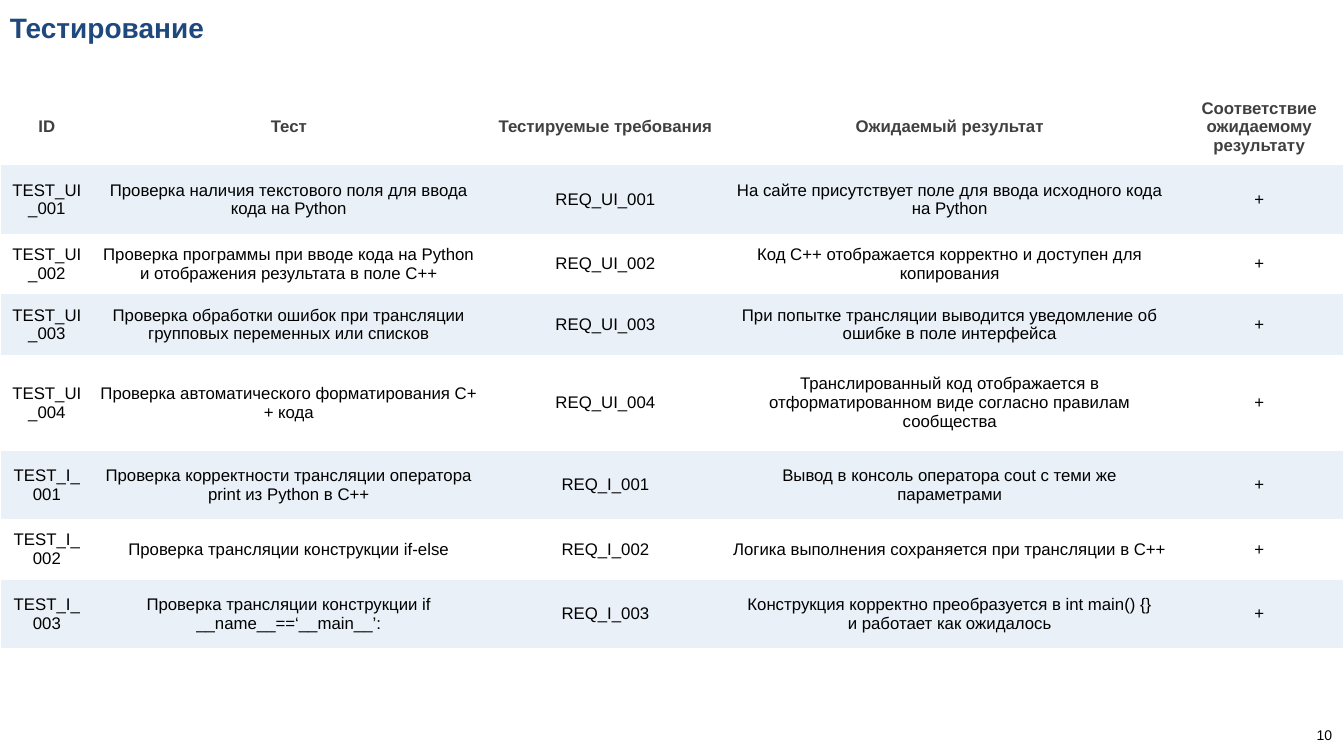
from pptx import Presentation
from pptx.dml.color import RGBColor
from pptx.enum import text as t
from pptx.util import Inches, Pt

TITLE = "Тестирование"
PAGE_NUMBER = "10"
HEADER = ("ID", "Тест", "Тестируемые требования", "Ожидаемый результат",
          "Соответствие ожидаемому результату")
# number, test, expected result, row height
TESTS = [
    ("UI_001", "Проверка наличия текстового поля для ввода кода на Python",
     "На сайте присутствует поле для ввода исходного кода на Python", 0.68),
    ("UI_002", "Проверка программы при вводе кода на Python и отображения результата в поле C++",
     "Код C++ отображается корректно и доступен для копирования", 0.6),
    ("UI_003", "Проверка обработки ошибок при трансляции групповых переменных или списков",
     "При попытке трансляции выводится уведомление об ошибке в поле интерфейса", 0.6),
    ("UI_004", "Проверка автоматического форматирования C++ кода",
     "Транслированный код отображается в отформатированном виде согласно правилам сообщества", 0.95),
    ("I_001", "Проверка корректности трансляции оператора print из Python в C++",
     "Вывод в консоль оператора cout с теми же параметрами", 0.68),
    ("I_002", "Проверка трансляции конструкции if-else",
     "Логика выполнения сохраняется при трансляции в С++", 0.6),
    ("I_003", "Проверка трансляции конструкции if __name__==‘__main__’:",
     "Конструкция корректно преобразуется в int main() {}\nи работает как ожидалось", 0.68),
]
PASSED = "+"

COLUMN_WIDTHS = (0.89, 3.93, 2.35, 4.48, 1.66)
HEADER_HEIGHT = 0.73
TABLE_LEFT, TABLE_TOP = 0.01, 0.88

FONT = "Arial"
NAVY = RGBColor(0x1F, 0x49, 0x7D)
GRAY = RGBColor(0x40, 0x40, 0x40)
BLACK = RGBColor(0, 0, 0)
WHITE = RGBColor(0xFF, 0xFF, 0xFF)
BAND = RGBColor(0xE9, 0xF0, 0xF7)
PLAIN_TABLE_STYLE = "{2D5ABB26-0587-4C30-8999-92F81FD0307C}"


def write(frame, words, size=12, color=BLACK, bold=False, align=t.PP_ALIGN.CENTER):
    frame.word_wrap = True
    paragraph = frame.paragraphs[0]
    paragraph.text = words
    paragraph.alignment = align
    for run in paragraph.runs:
        run.font.name = FONT
        run.font.size = Pt(size)
        run.font.bold = bold
        run.font.color.rgb = color


def set_margins(target, left, top, right, bottom):
    """Set the insets, in inches, of a text frame or a table cell."""
    target.margin_left, target.margin_top = Inches(left), Inches(top)
    target.margin_right, target.margin_bottom = Inches(right), Inches(bottom)


def add_label(slide, box, words, margins, anchor, **text_format):
    frame = slide.shapes.add_textbox(*map(Inches, box)).text_frame
    set_margins(frame, *margins)
    frame.vertical_anchor = anchor
    write(frame, words, **text_format)


def add_test_table(slide):
    rows = [HEADER] + [(f"TEST_{number}", test, f"REQ_{number}", expected, PASSED)
                       for number, test, expected, _ in TESTS]
    heights = [HEADER_HEIGHT] + [test[-1] for test in TESTS]
    table = slide.shapes.add_table(
        len(rows), len(HEADER), Inches(TABLE_LEFT), Inches(TABLE_TOP),
        Inches(sum(COLUMN_WIDTHS)), Inches(sum(heights))).table
    table._tbl.tblPr[0].text = PLAIN_TABLE_STYLE
    for column, width in zip(table.columns, COLUMN_WIDTHS):
        column.width = Inches(width)
    for r, (row, height) in enumerate(zip(rows, heights)):
        table.rows[r].height = Inches(height)
        for c, words in enumerate(row):
            cell = table.cell(r, c)
            cell.fill.solid()
            cell.fill.fore_color.rgb = BAND if r % 2 else WHITE
            cell.vertical_anchor = t.MSO_ANCHOR.MIDDLE
            set_margins(cell, 0.08 if c else 0.1, 0.08, 0.08, 0.08)
            write(cell.text_frame, words, color=BLACK if r else GRAY, bold=r == 0)


def main():
    deck = Presentation()
    deck.slide_width, deck.slide_height = Inches(13.33), Inches(7.5)
    slide = deck.slides.add_slide(deck.slide_layouts[6])
    add_label(slide, (12.98, 7.09, 0.34, 0.41), PAGE_NUMBER, (0.08, 0.04, 0.08, 0.04),
              t.MSO_ANCHOR.MIDDLE, size=10, align=t.PP_ALIGN.LEFT)
    add_test_table(slide)
    add_label(slide, (0, 0, 2.15, 0.54), TITLE, (0.1, 0.1, 0.1, 0.1),
              t.MSO_ANCHOR.TOP, size=20, color=NAVY, bold=True, align=t.PP_ALIGN.JUSTIFY)
    deck.save("out.pptx")


if __name__ == "__main__":
    main()
